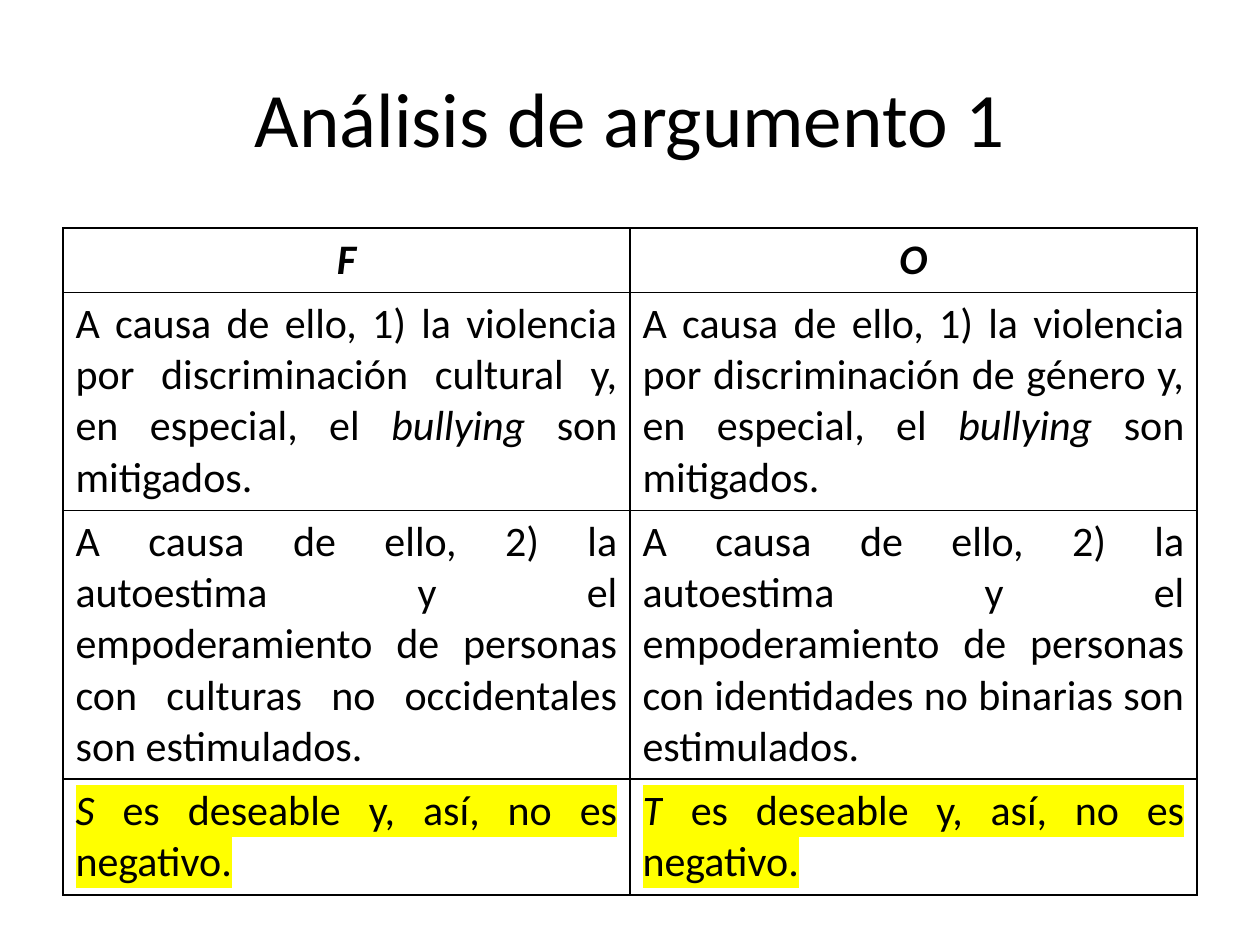
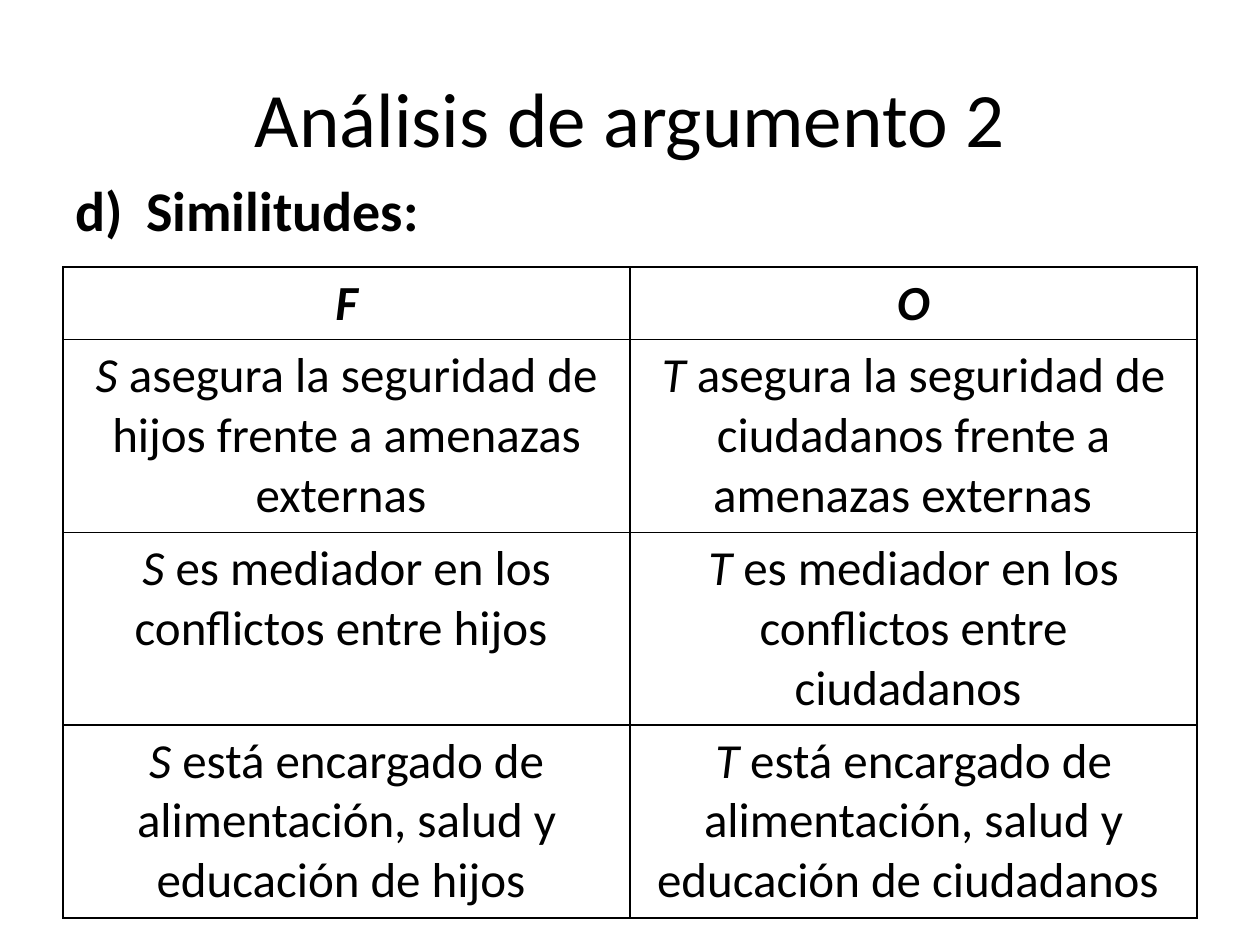
from dataclasses import dataclass

from lxml.etree import SubElement
from pptx import Presentation
from pptx.dml.color import RGBColor
from pptx.enum.text import MSO_ANCHOR, PP_ALIGN as Align
from pptx.oxml import parse_xml
from pptx.oxml.ns import nsdecls, qn
from pptx.util import Emu, Pt

FONT = "Calibri"
BLACK = RGBColor(0x00, 0x00, 0x00)
YELLOW = RGBColor(0xFF, 0xFF, 0x00)
PX = 9144  # 100 px to the inch
LEFT, WIDTH = 50, 900
TITLE_TOP, TITLE_HEIGHT = 30, 125
TITLE_AND_BODY, TITLE_ONLY = 1, 5
HEADINGS = ("*F*", "*O*")


@dataclass(frozen=True)
class Comparison:
    """Two-column table; asterisks in a text enclose italics."""
    top: int
    row_heights: tuple[int, ...]
    rows: tuple[tuple[str, str], ...]
    size: int
    align: Align
    marked_row: int | None = None


@dataclass(frozen=True)
class Page:
    title: str
    table: Comparison
    subtitle: str | None = None


PAGES = (
    Page("Análisis de argumento 1", Comparison(
        top=181, row_heights=(51, 173, 213, 92), size=24,
        align=Align.JUSTIFY, marked_row=3,
        rows=(
            HEADINGS,
            ("A causa de ello, 1) la violencia por discriminación cultural y, "
             "en especial, el *bullying* son mitigados.",
             "A causa de ello, 1) la violencia por discriminación de género y, "
             "en especial, el *bullying* son mitigados."),
            ("A causa de ello, 2) la autoestima y el empoderamiento de personas "
             "con culturas no occidentales son estimulados.",
             "A causa de ello, 2) la autoestima y el empoderamiento de personas "
             "con identidades no binarias son estimulados."),
            ("*S* es deseable y, así, no es negativo.",
             "*T* es deseable y, así, no es negativo."),
        ))),
    Page("Análisis de argumento 2", Comparison(
        top=212, row_heights=(57, 153, 153, 153), size=28, align=Align.CENTER,
        rows=(
            HEADINGS,
            ("*S *asegura la seguridad de hijos frente a amenazas externas ",
             "*T *asegura la seguridad de ciudadanos frente a amenazas externas  "),
            ("*S *es mediador en los conflictos entre hijos ",
             "*T *es mediador en los conflictos entre ciudadanos "),
            ("*S* está encargado de alimentación, salud y educación de hijos ",
             "*T* está encargado de alimentación, salud y educación de ciudadanos "),
        )), subtitle="Similitudes:"),
)


def px(length: int) -> Emu:
    return Emu(length * PX)


def place(shape, left: int, top: int, width: int, height: int) -> None:
    shape.left, shape.top = px(left), px(top)
    shape.width, shape.height = px(width), px(height)


def write(frame, text: str, *, size: int, align: Align = Align.LEFT,
          bold: bool = False, highlight: RGBColor | None = None):
    """Fill the first paragraph, with italics between asterisks."""
    para = frame.paragraphs[0]
    para.alignment = align
    para.space_before = Pt(0)
    for index, part in enumerate(text.split("*")):
        if not part:
            continue
        span = para.add_run()
        span.text = part
        font = span.font
        font.name, font.size = FONT, Pt(size)
        font.bold, font.italic = bold, index % 2 == 1
        font.color.rgb = BLACK
        if highlight is not None:
            mark = parse_xml(f'<a:highlight {nsdecls("a")}>'
                             f'<a:srgbClr val="{highlight}"/></a:highlight>')
            span._r.get_or_add_rPr().find(qn("a:latin")).addprevious(mark)
    return para


def add_borders(cell) -> None:
    properties = cell._tc.get_or_add_tcPr()
    for side in ("lnL", "lnR", "lnT", "lnB"):
        line = SubElement(properties, qn(f"a:{side}"), w=str(Pt(1)))
        fill = SubElement(line, qn("a:solidFill"))
        SubElement(fill, qn("a:srgbClr"), val=str(BLACK))


def add_comparison(slide, comparison: Comparison) -> None:
    columns = len(HEADINGS)
    table = slide.shapes.add_table(
        len(comparison.rows), columns, px(LEFT), px(comparison.top),
        px(WIDTH), px(sum(comparison.row_heights))).table
    table.first_row = table.horz_banding = False
    for column in table.columns:
        column.width = px(WIDTH // columns)
    for row, (texts, height) in enumerate(
            zip(comparison.rows, comparison.row_heights)):
        table.rows[row].height = px(height)
        heading = row == 0
        for column, text in enumerate(texts):
            cell = table.cell(row, column)
            add_borders(cell)
            cell.fill.background()
            write(cell.text_frame, text, size=comparison.size, bold=heading,
                  align=Align.CENTER if heading else comparison.align,
                  highlight=YELLOW if row == comparison.marked_row else None)


def add_subtitle(body, text: str) -> None:
    """Write the list item lettered d)."""
    place(body, LEFT, 134, WIDTH, 495)
    para = write(body.text_frame, text, size=32, bold=True)
    properties = para._p.get_or_add_pPr()
    properties.set("marL", str(px(56)))
    properties.set("indent", str(-px(56)))
    SubElement(properties, qn("a:buFont"), typeface="+mj-lt")
    SubElement(properties, qn("a:buAutoNum"), type="alphaLcParenR", startAt="4")


def add_page(deck, page: Page) -> None:
    layout = TITLE_AND_BODY if page.subtitle else TITLE_ONLY
    slide = deck.slides.add_slide(deck.slide_layouts[layout])
    title = slide.shapes.title
    place(title, LEFT, TITLE_TOP, WIDTH, TITLE_HEIGHT)
    title.text_frame.vertical_anchor = MSO_ANCHOR.MIDDLE
    write(title.text_frame, page.title, size=44, align=Align.CENTER)
    if page.subtitle:
        add_subtitle(slide.placeholders[1], page.subtitle)
    add_comparison(slide, page.table)


def main() -> None:
    deck = Presentation()
    deck.slide_width, deck.slide_height = px(1000), px(750)
    for page in PAGES:
        add_page(deck, page)
    deck.save("out.pptx")


if __name__ == "__main__":
    main()
